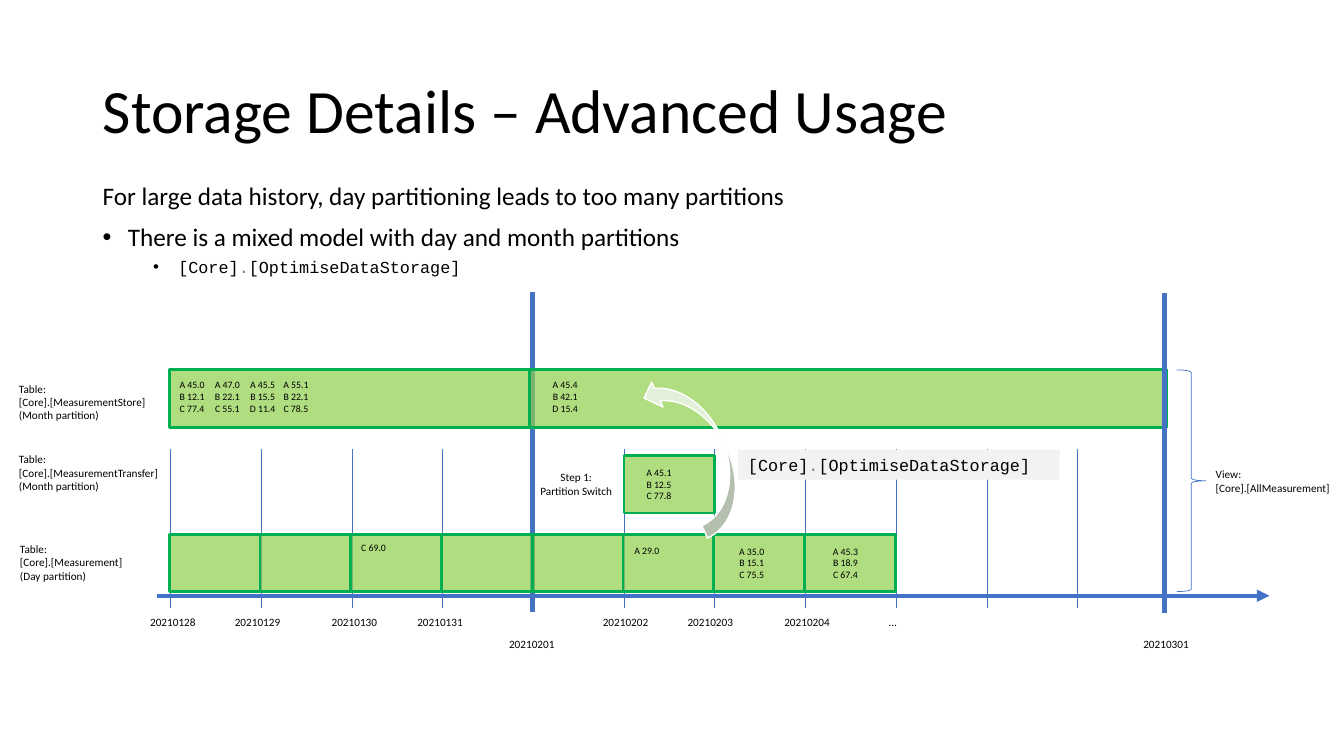
from lxml import etree
from pptx import Presentation
from pptx.dml.color import RGBColor
from pptx.enum.shapes import MSO_CONNECTOR, MSO_SHAPE
from pptx.enum.text import MSO_ANCHOR, PP_ALIGN
from pptx.oxml.ns import qn
from pptx.util import Inches, Pt

BLACK = RGBColor(0x00, 0x00, 0x00)
GRAY = RGBColor(0x80, 0x80, 0x80)
BLUE = RGBColor(0x44, 0x72, 0xC4)
LIME = RGBColor(0x92, 0xD0, 0x50)
GREEN = RGBColor(0x00, 0xB0, 0x50)
PALE_GREEN = RGBColor(0xE2, 0xF0, 0xD9)
PALE_GRAY = RGBColor(0xF2, 0xF2, 0xF2)
WHITE = RGBColor(0xFF, 0xFF, 0xFF)
LEFT, CENTER = PP_ALIGN.LEFT, PP_ALIGN.CENTER
MIDDLE = MSO_ANCHOR.MIDDLE
STRAIGHT = MSO_CONNECTOR.STRAIGHT
RECTANGLE, BRACE = MSO_SHAPE.RECTANGLE, MSO_SHAPE.RIGHT_BRACE
CURVED_ARROW = MSO_SHAPE.CURVED_UP_ARROW

DAY_LEFT, DAY_WIDTH = 1.68, 0.9
CELL_HEIGHT = 0.57
STORE_TOP, TRANSFER_TOP, DAY_TOP = 3.67, 4.52, 5.3
MONTH_START, MONTH_END = 5.28, 11.55
VALUE_WIDTH = 0.69
PROCEDURE = [("[Core]", BLACK), (".", GRAY), ("[OptimiseDataStorage]", BLACK)]


def add_span(para, text, size, color=BLACK, font="Calibri"):
    span = para.add_run()
    span.text = text
    span.font.name, span.font.size = font, Pt(size)
    span.font.color.rgb = color


def add_procedure_name(para):
    for text, color in PROCEDURE:
        add_span(para, text, 12, color, "Courier New")


def add_label(page, left, top, width, lines, size=8, align=LEFT):
    """Small text box with one paragraph for each line."""
    height = 0.1 + len(lines) * size / 60
    box = page.shapes.add_textbox(*map(Inches, (left, top, width, height)))
    frame = box.text_frame
    frame.word_wrap = True
    if align == LEFT:
        frame.margin_right = 0
    for index, line in enumerate(lines):
        para = frame.paragraphs[0] if index == 0 else frame.add_paragraph()
        para.alignment = align
        add_span(para, line, size)


def add_values(page, left, top, *values):
    add_label(page, left, top, VALUE_WIDTH, values, 7, CENTER)


def add_line(page, x1, y1, x2, y2, weight):
    line = page.shapes.add_connector(STRAIGHT, *map(Inches, (x1, y1, x2, y2)))
    line.line.color.rgb, line.line.width = BLUE, Pt(weight)
    etree.SubElement(line._element.spPr, qn("a:effectLst"))
    return line


def add_plain_shape(page, kind, left, top, width, height, fill, line=None, weight=1):
    shape = page.shapes.add_shape(kind, *map(Inches, (left, top, width, height)))
    shape.shadow.inherit = False
    if fill is None:
        shape.fill.background()
    else:
        shape.fill.solid()
        shape.fill.fore_color.rgb = fill
    if line is None:
        shape.line.fill.background()
    else:
        shape.line.color.rgb, shape.line.width = line, Pt(weight)
    return shape


def add_partition(page, left, top, width=DAY_WIDTH):
    """Translucent green cell."""
    cell = add_plain_shape(page, RECTANGLE, left, top, width, CELL_HEIGHT, LIME, GREEN, 2)
    color = cell._element.spPr.find(qn("a:solidFill"))[0]
    etree.SubElement(color, qn("a:alpha"), val="72000")


def add_bullet(para, margin):
    properties = para._p.get_or_add_pPr()
    properties.set("marL", str(Inches(margin)))
    properties.set("indent", str(Inches(-0.25)))
    etree.SubElement(properties, qn("a:buFont"), typeface="Arial")
    etree.SubElement(properties, qn("a:buChar"), char="•")


def add_heading(page, left, top, width, height):
    title = page.shapes.title
    title.left, title.top, title.width, title.height = map(Inches, (left, top, width, height))
    title.text_frame.vertical_anchor = MIDDLE
    para = title.text_frame.paragraphs[0]
    para.alignment, para.line_spacing = LEFT, 0.9
    add_span(para, "Storage Details – Advanced Usage", 44)


def add_intro(page, left, top, width, height):
    box = page.shapes.add_textbox(*map(Inches, (left, top, width, height)))
    frame = box.text_frame
    frame.word_wrap = True
    lead, model, procedure = frame.paragraphs[0], frame.add_paragraph(), frame.add_paragraph()
    for para, before in ((lead, 0), (model, 10), (procedure, 5)):
        para.line_spacing, para.space_before = 0.9, Pt(before)
    add_span(lead, "For large data history, day partitioning leads to too many partitions", 18)
    add_bullet(model, 0.25)
    add_span(model, "There is a mixed model with day and month partitions", 18)
    procedure.level = 1
    add_bullet(procedure, 0.75)
    add_procedure_name(procedure)


def add_timeline(page, left, right, axis):
    """Day and month lines, axis arrow and dates."""
    add_line(page, MONTH_START, 2.9, MONTH_START, axis + 0.16, 3.25)
    for day in range(11):
        x = DAY_LEFT + 0.01 + day * DAY_WIDTH
        if day != 4:
            add_line(page, x, axis - 1.46, x, axis + 0.12, 0.5)
    arrow = add_line(page, left, axis, right, axis, 3)
    etree.SubElement(arrow.line._get_or_add_ln(), qn("a:tailEnd"), type="triangle")
    day_dates = {"20210128": 1.37, "20210129": 2.21, "20210130": 3.17, "20210131": 4.02,
                 "20210202": 5.86, "20210203": 6.7, "20210204": 7.66, "…": 8.51}
    month_dates = {"20210201": 4.93, "20210301": 11.22}
    for dates, offset in ((day_dates, 0.15), (month_dates, 0.36)):
        for date, x in dates.items():
            add_label(page, x, axis + offset, VALUE_WIDTH, [date], align=CENTER)


def add_month_store(page, top):
    add_partition(page, DAY_LEFT, top, 3.57)
    add_partition(page, DAY_LEFT + 3.57, top, 6.32)
    add_line(page, MONTH_END, 2.91, MONTH_END, 6.08, 3.25)
    add_line(page, MONTH_END + 0.02, 2.91, MONTH_END + 0.02, 6.07, 0.5)
    add_label(page, 0.09, top + 0.07, 1.6,
              ["Table:", "[Core].[MeasurementStore]", "(Month partition)"])
    columns = [(1.56, "A 45.0", "B 12.1", "C 77.4"), (1.91, "A 47.0", "B 22.1", "C 55.1"),
               (2.26, "A 45.5", "B 15.5", "D 11.4"), (2.59, "A 55.1", "B 22.1", "C 78.5"),
               (5.26, "A 45.4", "B 42.1", "D 15.4")]
    for x, *values in columns:
        add_values(page, x, top + 0.04, *values)


def add_transfer(page, top):
    left = DAY_LEFT + 5 * DAY_WIDTH + 0.01
    add_partition(page, left, top)
    add_values(page, left, top + 0.06, "A 45.1", "B 12.5", "C 77.8")
    add_label(page, 0.09, top - 0.08, 1.6,
              ["Table:", "[Core].[MeasurementTransfer]", "(Month partition)"])
    add_label(page, 4.89, top + 0.1, 1.65, ["Step 1:", "Partition Switch"], align=CENTER)


def add_day_table(page, top):
    for day in range(8):
        add_partition(page, DAY_LEFT + day * DAY_WIDTH, top)
    add_label(page, 0.1, top + 0.03, 1.6, ["Table:", "[Core].[Measurement]", "(Day partition)"])
    add_values(page, 3.36, top + 0.03, "C 69.0")
    add_values(page, 6.07, top + 0.06, "A 29.0")
    add_values(page, 7.11, top + 0.06, "A 35.0", "B 15.1", "C 75.5")
    add_values(page, 8.04, top + 0.06, "A 45.3", "B 18.9", "C 67.4")


def add_view(page, left, top, height):
    add_plain_shape(page, BRACE, left, top, 0.29, height, None, BLUE, 0.5)
    add_label(page, left + 0.29, top + 0.92, 1.36, ["View:", "[Core].[AllMeasurement]"])


def add_switch_step(page, left, top):
    """Curved arrow with the procedure that moves the partition."""
    arrow = add_plain_shape(page, CURVED_ARROW, left, top, 1.66, 0.54, PALE_GREEN, WHITE)
    arrow.rotation = 245.6
    callout = add_plain_shape(page, RECTANGLE, left + 1.23, top + 0.26, 3.19, 0.3, PALE_GRAY)
    callout.text_frame.vertical_anchor = MIDDLE
    para = callout.text_frame.paragraphs[0]
    para.alignment = LEFT
    add_procedure_name(para)


def main():
    deck = Presentation()
    deck.slide_width, deck.slide_height = Inches(13.33), Inches(7.5)
    page = deck.slides.add_slide(deck.slide_layouts[5])
    add_heading(page, 0.92, 0.4, 11.5, 1.45)
    add_intro(page, 0.92, 1.77, 11.5, 1.13)
    add_timeline(page, 1.56, 12.59, 5.91)
    add_day_table(page, DAY_TOP)
    add_month_store(page, STORE_TOP)
    add_transfer(page, TRANSFER_TOP)
    add_view(page, 11.67, STORE_TOP, 2.2)
    add_switch_step(page, 6.09, 4.2)
    deck.save("out.pptx")


if __name__ == "__main__":
    main()
